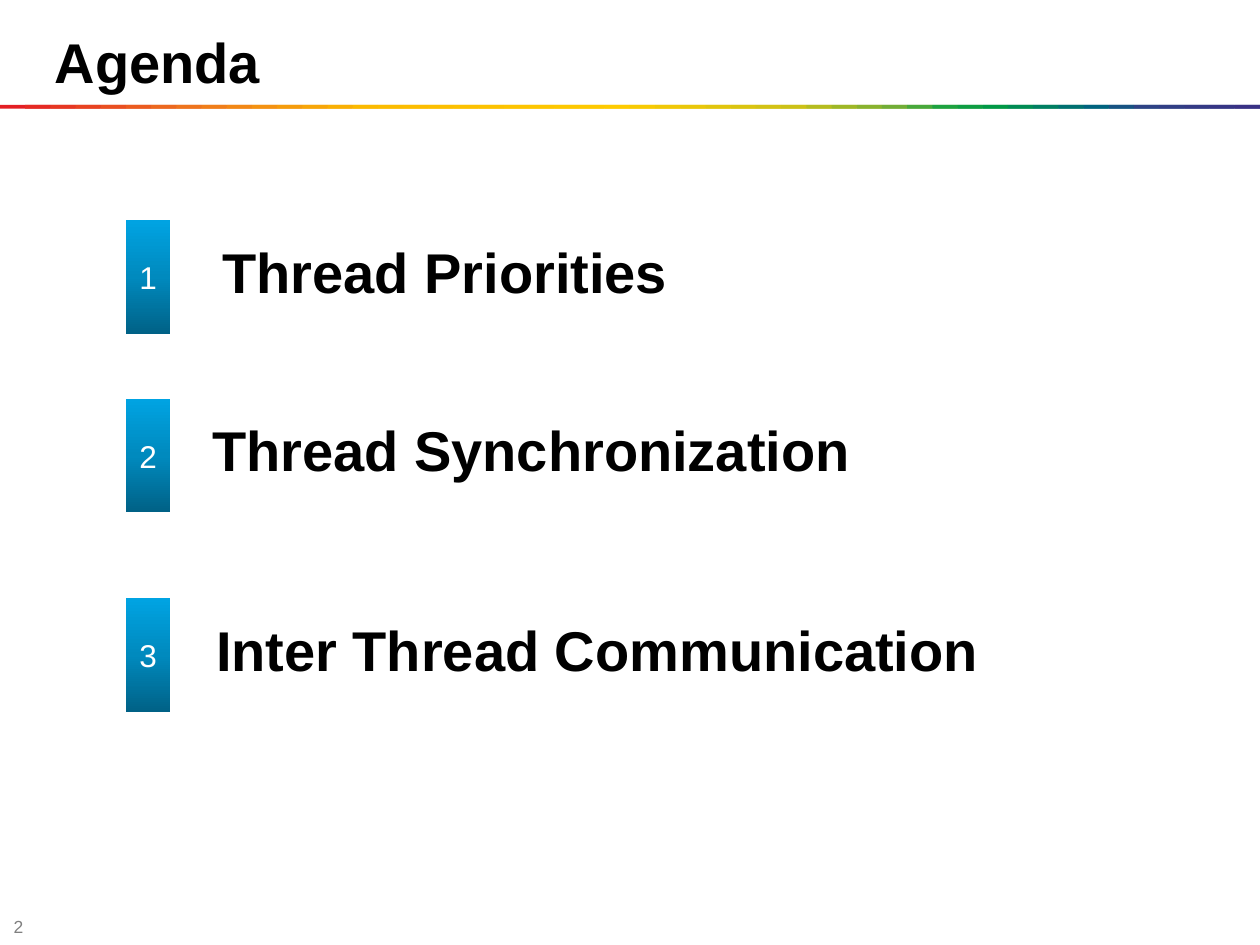
from copy import deepcopy
from itertools import pairwise
from typing import NamedTuple

from lxml import etree
from pptx import Presentation
from pptx import util as u
from pptx.dml import color
from pptx.enum import shapes, text
from pptx.oxml import ns

SLIDE_WIDTH, SLIDE_HEIGHT = u.Inches(10), u.Inches(7.5)
COLUMNS, ROWS = 120, 90
STRIP_COUNT = 50
COLORS = {
    "ink": "000000",
    "number": "FFFFFF",
    "footer": "808080",
    "badge_dark": "006186",
    "badge_middle": "008ABE",
    "badge_light": "00A3E2",
    "red": "E31E24",
    "orange": "EE741D",
    "amber": "FBBA00",
    "yellow": "FECB00",
    "lime": "CCC117",
    "leaf": "71AD36",
    "grass": "1DA240",
    "green": "009846",
    "teal": "00637F",
    "blue": "2E4285",
    "indigo": "393185",
}
BADGE_STOPS = ["badge_dark", "badge_middle", "badge_light"]
RAINBOW_STOPS = {
    0: "red", 7: "orange", 14: "amber", 24: "yellow", 31: "lime", 35: "leaf",
    37: "grass", 39: "green", 43: "teal", 45: "blue", 49: "indigo",
}
HEADING = {"size": u.Pt(32), "bold": True, "name": "Arial"}
NUMBER = {"size": u.Pt(18), "bold": False, "name": "Arial"}
FOOTER = {"size": u.Pt(10), "bold": False, "name": "Arial"}
TOP = {"vertical_anchor": text.MSO_ANCHOR.TOP}
MIDDLE = {"vertical_anchor": text.MSO_ANCHOR.MIDDLE, "margin_top": 0, "margin_bottom": 0}
NO_SIDE_MARGINS = {"margin_left": 0, "margin_right": 0}


class Box(NamedTuple):
    left: float
    top: float
    width: float
    height: float


class AgendaItem(NamedTuple):
    words: str
    top: float
    width: float
    indent: float


ITEMS = [
    AgendaItem("Thread Priorities", 21, 100, 8),
    AgendaItem("Thread Synchronization", 38, 89, 7),
    AgendaItem("Inter Thread Communication", 57, 84, 7.4),
]
BODY_ITEM = 2
BADGE_WIDTH, BADGE_HEIGHT = 4.2, 10.8


def rgb(name):
    return color.RGBColor.from_string(COLORS[name])


def apply(target, values):
    for name, value in values.items():
        setattr(target, name, value)


def to_lengths(box):
    column, row = SLIDE_WIDTH / COLUMNS, SLIDE_HEIGHT / ROWS
    return Box(*(round(size * unit) for size, unit in zip(box, (column, row, column, row))))


def write(shape, words, font, ink, frame_format, align=text.PP_ALIGN.LEFT):
    frame = shape.text_frame
    frame.text = words
    apply(frame, {"word_wrap": True, "auto_size": text.MSO_AUTO_SIZE.NONE, **frame_format})
    paragraph = frame.paragraphs[0]
    apply(paragraph, {"alignment": align, "space_before": u.Pt(0)})
    apply(paragraph.runs[0].font, font)
    paragraph.runs[0].font.color.rgb = rgb(ink)


def add_rectangle(slide, box):
    shape = slide.shapes.add_shape(shapes.MSO_SHAPE.RECTANGLE, *to_lengths(box))
    shape.shadow.inherit = False
    shape.line.fill.background()
    return shape


def fill_upward(shape, names):
    shape.fill.gradient()
    shape.fill.gradient_angle = 90
    stop_list = shape.fill._fill._gradFill.gsLst
    for _ in names[2:]:
        stop_list.append(deepcopy(stop_list[0]))
    for index, (stop, name) in enumerate(zip(shape.fill.gradient_stops, names)):
        stop.position = index / (len(names) - 1)
        stop.color.rgb = rgb(name)


def remove_bullet(shape):
    properties = shape.text_frame.paragraphs[0]._p.get_or_add_pPr()
    for name in ("marL", "indent"):
        properties.set(name, "0")
    etree.SubElement(properties, ns.qn("a:buNone"))


def blend(start, end, share):
    channels = (round(a + (b - a) * share) for a, b in zip(rgb(start), rgb(end)))
    return color.RGBColor(*channels)


def rainbow_color(index):
    for (first, start), (last, end) in pairwise(RAINBOW_STOPS.items()):
        if index <= last:
            return blend(start, end, (index - first) / (last - first))


def add_rainbow(slide, box):
    step = box.width / STRIP_COUNT
    for index in range(STRIP_COUNT):
        offset = index * step
        width = min(2 * step, box.width - offset)
        strip = add_rectangle(slide, Box(box.left + offset, box.top, width, box.height))
        strip.fill.solid()
        strip.fill.fore_color.rgb = rainbow_color(index)


def add_header(slide, box):
    title = slide.shapes.title
    title_box = Box(box.left + 4, box.top + 2, 99.2, box.height - 2)
    apply(title, to_lengths(title_box)._asdict())
    write(title, "Agenda", HEADING, "ink", TOP)
    add_rainbow(slide, Box(box.left, box.top + 10, box.width, 0.36))


def add_badge(slide, box, number):
    badge = add_rectangle(slide, box)
    fill_upward(badge, BADGE_STOPS)
    frame_format = {**MIDDLE, **NO_SIDE_MARGINS}
    write(badge, str(number), NUMBER, "number", frame_format, text.PP_ALIGN.CENTER)


def add_item(slide, box, number, item):
    add_badge(slide, box._replace(width=BADGE_WIDTH), number)
    label_box = to_lengths(
        Box(box.left + item.indent, box.top + 1, box.width - item.indent, box.height - 2)
    )
    if number == BODY_ITEM:
        label = slide.placeholders[1]
        apply(label, label_box._asdict())
    else:
        label = slide.shapes.add_textbox(*label_box)
    write(label, item.words, HEADING, "ink", TOP)
    if number == BODY_ITEM:
        remove_bullet(label)


def add_page_number(slide, box):
    label = slide.shapes.add_textbox(*to_lengths(box))
    write(label, "2", FOOTER, "footer", MIDDLE)


def main():
    presentation = Presentation()
    apply(presentation, {"slide_width": SLIDE_WIDTH, "slide_height": SLIDE_HEIGHT})
    slide = presentation.slides.add_slide(presentation.slide_layouts[1])
    add_header(slide, Box(0, 0, COLUMNS, 14))
    for number, item in enumerate(ITEMS, 1):
        add_item(slide, Box(12, item.top, item.width, BADGE_HEIGHT), number, item)
    add_page_number(slide, Box(0.12, 87.25, 4.7, 1.9))
    presentation.save("out.pptx")


if __name__ == "__main__":
    main()
